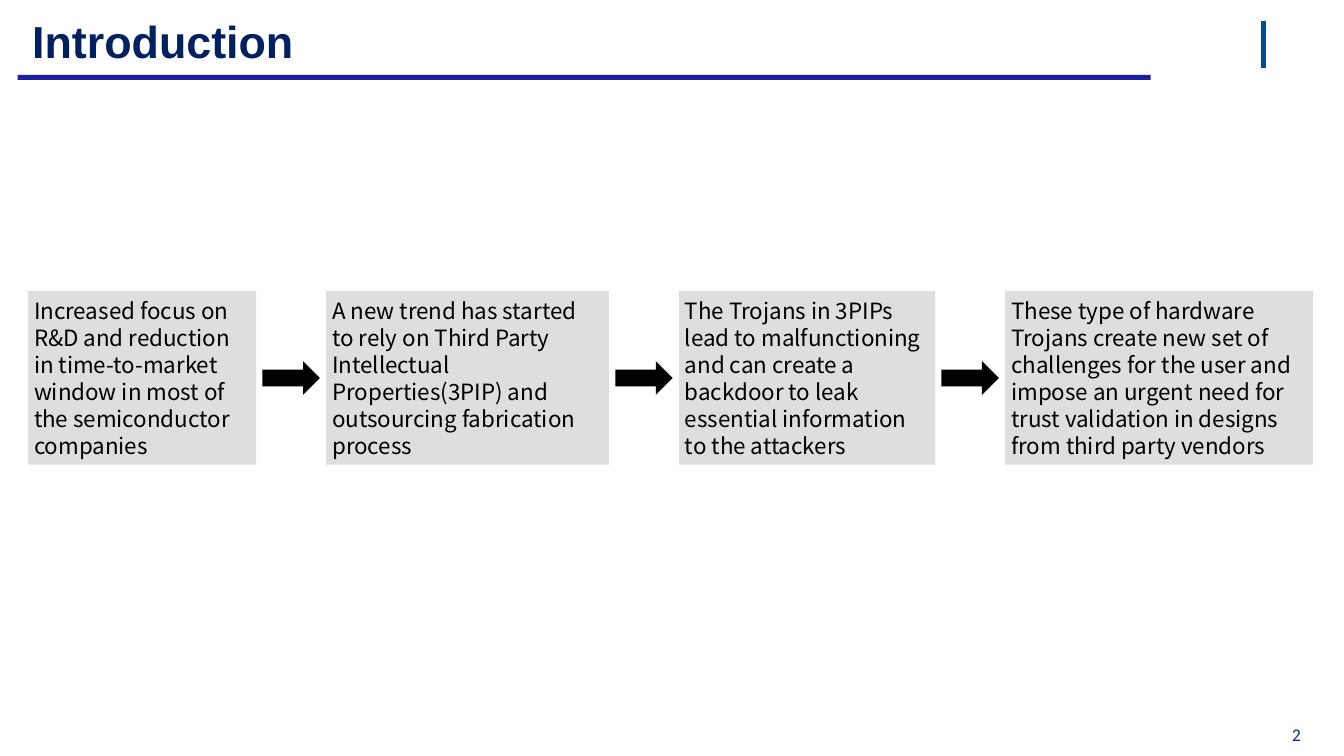
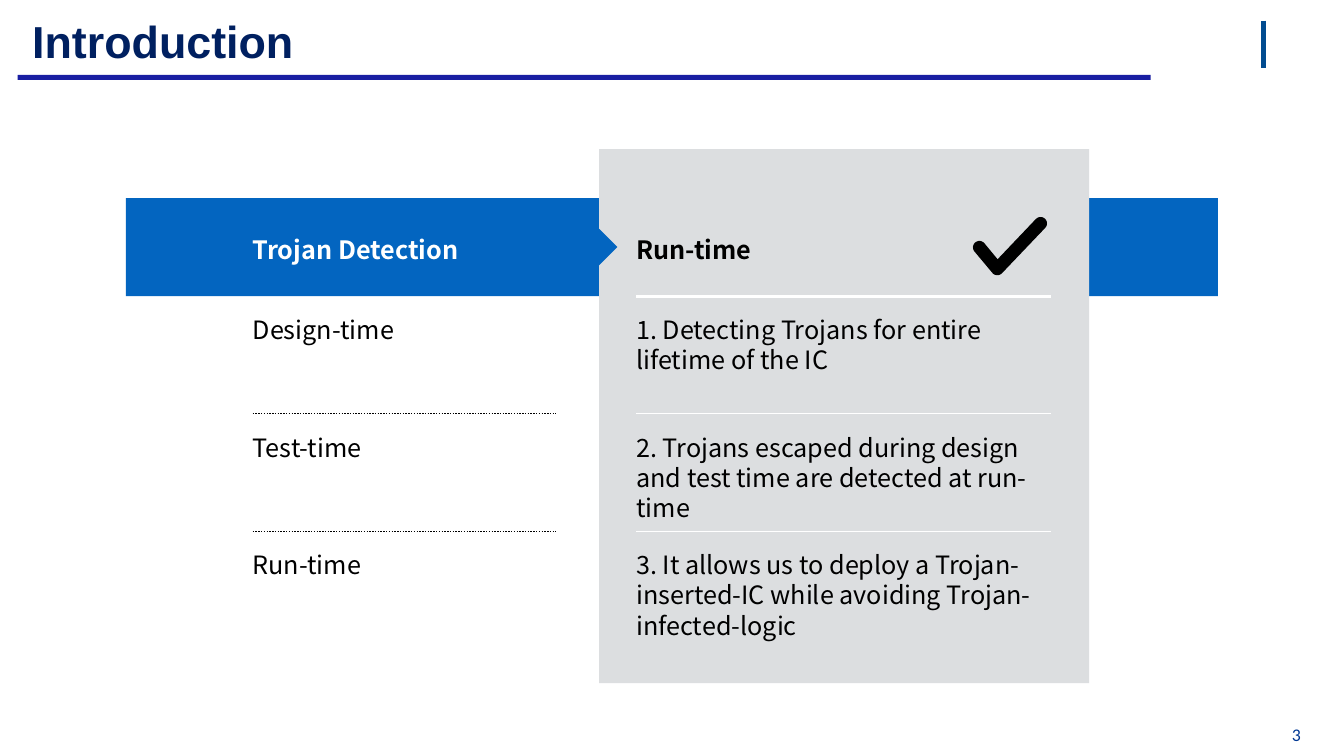
"""Build two introduction slides on hardware Trojans."""
import math

import pptx
import pptx.dml.color
import pptx.enum.dml
import pptx.enum.shapes
import pptx.enum.text
import pptx.oxml
import pptx.oxml.ns
import pptx.util

Pt = pptx.util.Pt
RGBColor = pptx.dml.color.RGBColor
SHAPE = pptx.enum.shapes.MSO_SHAPE
ANCHOR = pptx.enum.text.MSO_ANCHOR
ALIGN = pptx.enum.text.PP_ALIGN
DOTTED = pptx.enum.dml.MSO_LINE.ROUND_DOT

WHITE = RGBColor(0xFF, 0xFF, 0xFF)
BLACK = RGBColor(0x00, 0x00, 0x00)
GREY = RGBColor(0xDC, 0xDE, 0xE0)
BLUE = RGBColor(0x03, 0x65, 0xC0)
TITLE_NAVY = RGBColor(0x00, 0x20, 0x60)
RULE_BLUE = RGBColor(0x19, 0x1E, 0xA2)
MARK_BLUE = RGBColor(0x02, 0x4C, 0x90)
NUMBER_BLUE = RGBColor(0x00, 0x38, 0x93)

BODY_FONT = "Noto Sans CJK SC"
LINE_PITCH = 1.2

STEPS = [
    (163, "Increased focus on R&D and reduction in time-to-market window "
          "in most of the semiconductor companies"),
    (202, "A new trend has started to rely on Third Party Intellectual "
          "Properties(3PIP) and outsourcing fabrication process"),
    (183, "The Trojans in 3PIPs lead to malfunctioning and can create a "
          "backdoor to leak essential information to the attackers"),
    (220, "These type of hardware Trojans create new set of challenges for "
          "the user and impose an urgent need for trust validation in "
          "designs from third party vendors"),
]

ROWS = [
    ("Design-time", ["1. Detecting Trojans for entire lifetime of the IC"]),
    ("Test-time", ["2. Trojans escaped during design",
                   "and test time are detected at run-time"]),
    ("Run-time", ["3. It allows us to deploy a Trojan-inserted-IC while "
                  "avoiding Trojan-infected-logic"]),
]


def write(shape, paragraphs, size, color=BLACK, bold=False, font=BODY_FONT,
          inset=0, anchor=ANCHOR.TOP, align=ALIGN.LEFT, wrap=True):
    """Fill a shape with equally styled paragraphs."""
    tf = shape.text_frame
    tf.word_wrap = wrap
    tf.vertical_anchor = anchor
    tf.margin_left = tf.margin_right = Pt(inset)
    tf.margin_top = tf.margin_bottom = Pt(inset)
    for i, text in enumerate(paragraphs):
        p = tf.add_paragraph() if i else tf.paragraphs[0]
        p.alignment = align
        if font == BODY_FONT:
            p.line_spacing = Pt(size * LINE_PITCH)
        r = p.add_run()
        r.text = text
        r.font.name = font
        r.font.size = Pt(size)
        r.font.bold = bold
        r.font.color.rgb = color


def paint(sp, color):
    """Give a shape a flat fill without outline or shadow."""
    sp.shadow.inherit = False
    sp.fill.solid()
    sp.fill.fore_color.rgb = color
    sp.line.fill.background()


def add_block(s, kind, x, y, w, h, color):
    """Add a flat preset shape."""
    sp = s.shapes.add_shape(kind, Pt(x), Pt(y), Pt(w), Pt(h))
    paint(sp, color)
    return sp


def add_text(s, x, y, w, h, paragraphs, size, **style):
    """Add a text box."""
    sp = s.shapes.add_textbox(Pt(x), Pt(y), Pt(w), Pt(h))
    write(sp, paragraphs, size, **style)


def add_line(s, x1, y1, x2, y2, color, width, dash=None):
    """Add a straight line without shadow."""
    line = s.shapes.add_connector(pptx.enum.shapes.MSO_CONNECTOR.STRAIGHT,
                                  Pt(x1), Pt(y1), Pt(x2), Pt(y2))
    line.line.color.rgb = color
    line.line.width = Pt(width)
    if dash:
        line.line.dash_style = dash
    effects = pptx.oxml.ns.qn("a:effectLst")
    line._element.spPr.append(line._element.makeelement(effects, {}))


def add_check(s):
    """Add a check mark with rounded ends and a sharp inner corner."""
    radius = 4.6
    arcs = [(743.3, 159.6, -136, 44),
            (712.4, 192, 44, 140),
            (699.6, 176.7, 140, 320)]
    points = []
    for cx, cy, first, last in arcs:
        for i in range(13):
            a = math.radians(first + (last - first) * i / 12)
            points.append((Pt(cx + radius * math.cos(a)),
                           Pt(cy + radius * math.sin(a))))
    points.append((Pt(712.6), Pt(185.2)))
    builder = s.shapes.build_freeform(*points[0])
    builder.add_line_segments(points[1:], close=True)
    paint(builder.convert_to_shape(), BLACK)


def add_slide(prs, title, number):
    """Add a slide with the shared title, rule, mark and number."""
    s = prs.slides.add_slide(prs.slide_layouts[6])
    add_block(s, SHAPE.RECTANGLE, 12.5, 53.5, 809.5, 3.6, RULE_BLUE)
    add_line(s, 902.5, 14.8, 902.5, 48.8, MARK_BLUE, 3)
    add_text(s, 13, 1, 804, 56, [title], 32, color=TITLE_NAVY, bold=True,
             font="Arial", inset=10, anchor=ANCHOR.MIDDLE)
    add_text(s, 918, 517, 16, 15, [str(number)], 12.7, color=NUMBER_BLUE,
             font="Calibri", align=ALIGN.CENTER, wrap=False)
    return s


def build_flow(s):
    """Draw the chain of steps joined by arrows."""
    x, top, height, gap = 20, 208, 124, 50
    arrow_w, arrow_h = 41, 24
    for i, (width, text) in enumerate(STEPS):
        if i:
            add_block(s, SHAPE.RIGHT_ARROW, x - (gap + arrow_w) / 2,
                      top + (height - arrow_h) / 2, arrow_w, arrow_h, BLACK)
        box = add_block(s, SHAPE.RECTANGLE, x, top, width, height, GREY)
        write(box, [text], 16, inset=4.3, anchor=ANCHOR.MIDDLE)
        x += width + gap


def build_comparison(s):
    """Draw the detection stages beside the run-time panel."""
    left, left_w = 180.5, 217
    right, right_w = 454.5, 296.5
    top, pitch = 211.5, 84
    add_block(s, SHAPE.RECTANGLE, 90, 141.5, 780, 70, BLUE)
    add_block(s, SHAPE.RECTANGLE, 428, 106.5, 350, 381.5, GREY)
    pointer = add_block(s, SHAPE.ISOSCELES_TRIANGLE, 421.5, 170, 26, 13, BLUE)
    pointer.rotation = 90
    add_check(s)
    for x, text, color in [(left, "Trojan Detection", WHITE),
                           (right, "Run-time", BLACK)]:
        add_text(s, x, 167, left_w, 22, [text], 18, color=color, bold=True,
                 anchor=ANCHOR.MIDDLE)
    for i, (stage, reasons) in enumerate(ROWS):
        y = top + i * pitch
        if i:
            add_line(s, left, y, left + left_w, y, BLACK, 1, DOTTED)
        add_line(s, right, y, right + right_w, y, WHITE, 1 if i else 2.25)
        add_text(s, left, y + 13, left_w, 22, [stage], 18)
        add_text(s, right, y + 13, right_w, 65, reasons, 18)


def main():
    """Build and save the slides."""
    prs = pptx.Presentation()
    prs.slide_width, prs.slide_height = Pt(960), Pt(540)
    for number, build in enumerate([build_flow, build_comparison], 2):
        build(add_slide(prs, "Introduction", number))
    prs.save("out.pptx")


if __name__ == "__main__":
    main()
